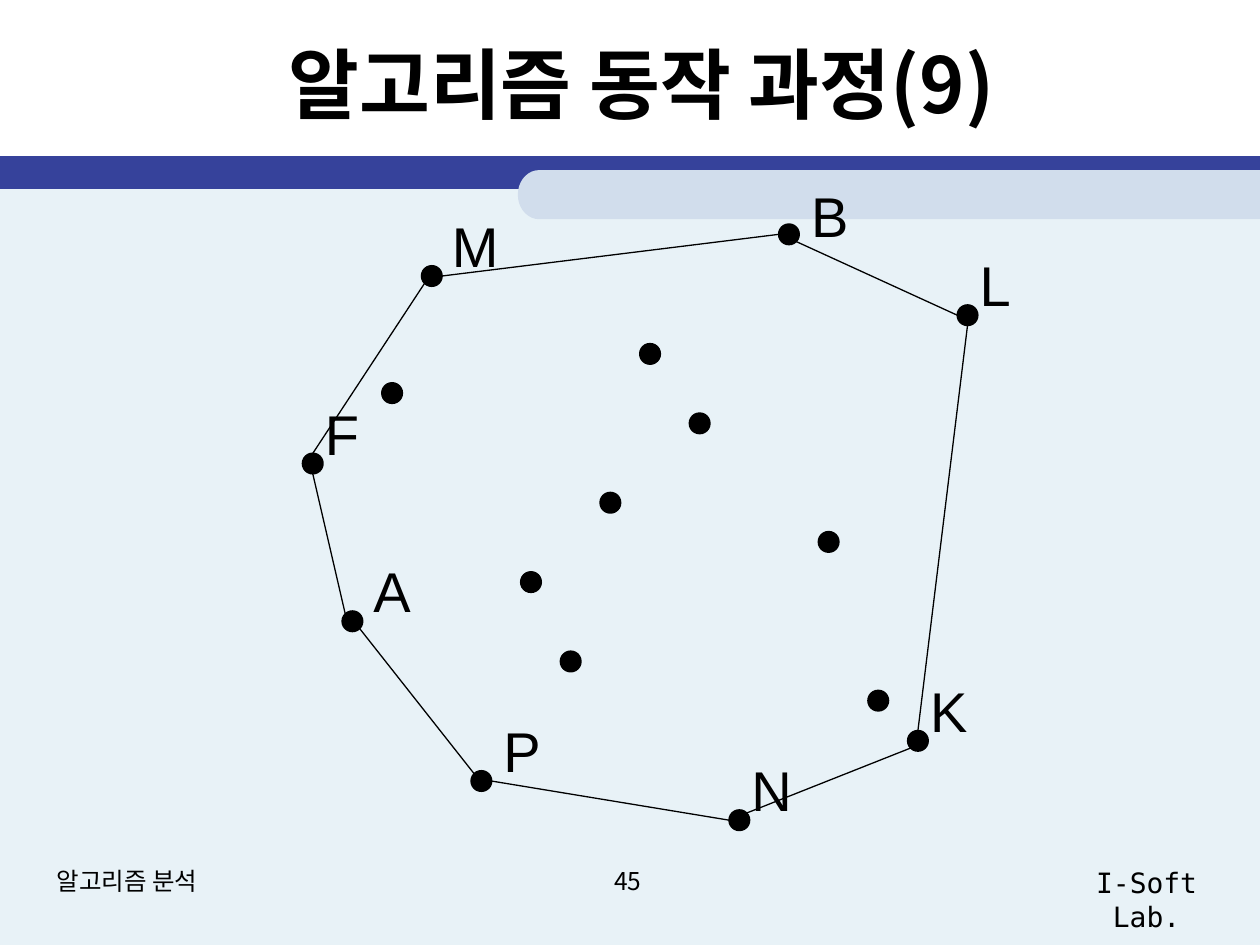
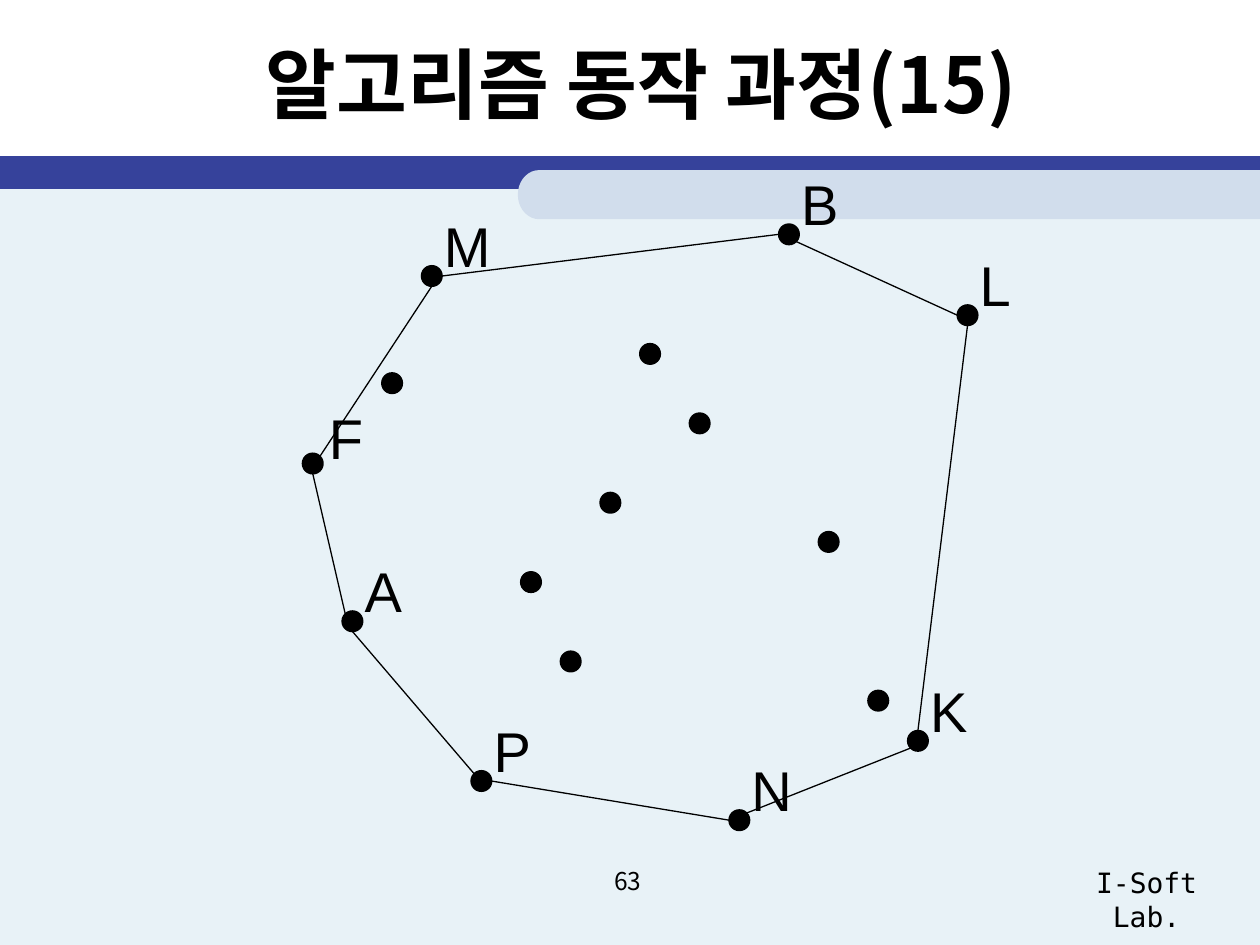
import math
from pptx import Presentation
from pptx.dml.color import RGBColor
from pptx.enum import shapes, text
from pptx.oxml import ns
from pptx.util import Cm, Pt
from lxml import etree

WIDE, HIGH = 25.4, 19.05
INK, PALE, BLUE, MIST = "000000", "E8F2F7", "36429B", "D1DDEC"
SANS, MONO, LATIN = "Noto Sans CJK KR", "DejaVu Sans Mono", "Arial"
MID = text.PP_ALIGN.CENTER

DOT = 0.41
HULL = (6.1, 4.52)
SHIFT = (0.2, -1.22)
NODES = {
    "M": (2.4, 0.84, 1.45), "B": (9.6, 0, 1.24),
    "L": (13.2, 1.63, 1.14), "K": (12.2, 10.21, 1.24),
    "N": (8.6, 11.81, 1.32), "P": (3.4, 11.02, 1.24),
    "A": (0.8, 7.8, 1.24), "F": (0, 4.62, 1.19),
}
INNER = [(6, 5.41), (11.4, 9.4), (5.2, 8.61), (6.8, 2.41),
         (4.4, 7.01), (10.4, 6.2), (7.8, 3.81)]
SITES = {
    "top": (0.5, 0), "left": (0, 0.5), "right": (1, 0.5), "base": (0.5, 1),
    "nw": (0.15, 0.15), "ne": (0.85, 0.15),
    "sw": (0.15, 0.85), "se": (0.85, 0.85),
}
EDGES = [
    ("N", "ne", "K", "sw"), ("K", "top", "L", "base"),
    ("B", "se", "L", "left"), ("M", "right", "B", "left"),
    ("F", "base", "A", "nw"), ("P", "right", "N", "left"),
]
STEPS = [
    dict(title="알고리즘 동작 과정(9)", page="45", note="알고리즘 분석",
         free=(1.6, 3.2),
         edges=[("F", "top", "M", "sw"), ("A", "se", "P", "nw")],
         nudge={"B": (0.2, 0.23), "M": (0.16, 0),
                "A": (0.18, 0), "P": (0.2, 0)}),
    dict(title="알고리즘 동작 과정(15)", page="63", note=None,
         free=(1.6, 3),
         edges=[("M", "base", "F", "ne"), ("P", "nw", "A", "base")],
         nudge={"F": (0.08, 0.08)}),
]


def tint(code):
    return RGBColor.from_string(code)


def paint(shape, fill, line=None):
    shape.shadow.inherit = False
    shape.fill.solid()
    shape.fill.fore_color.rgb = tint(fill)
    if line:
        shape.line.color.rgb = tint(line)
        shape.line.width = Pt(1)
    else:
        shape.line.fill.background()


def block(slide, kind, box, fill, line=None):
    shape = slide.shapes.add_shape(kind, *map(Cm, box))
    paint(shape, fill, line)


def write(slide, box, words, size, face, align=None, bold=False, wrap=True):
    frame = slide.shapes.add_textbox(*map(Cm, box)).text_frame
    frame.word_wrap = wrap
    para = frame.paragraphs[0]
    para.text = words
    para.alignment = align
    font = para.font
    font.size, font.bold, font.name = Pt(size), bold, face
    font.color.rgb = tint(INK)
    props = para._p.pPr.find(ns.qn("a:defRPr"))
    etree.SubElement(props, ns.qn("a:ea"), typeface=face)
    return frame


def tab(slide, box, fill):
    left, top, width, height = box
    bend, half = 0.43, height / 2
    turns = [math.radians(90 + 10 * n) for n in range(19)]
    curve = [(left + bend + bend * math.cos(a), top + half - half * math.sin(a))
             for a in turns]
    ends = [(left + width, top + height), (left + width, top)]
    pen = slide.shapes.build_freeform(Cm(left + width), Cm(top))
    pen.add_line_segments([(Cm(x), Cm(y)) for x, y in curve + ends], close=True)
    paint(pen.convert_to_shape(), fill)


def base(slide):
    rect = shapes.MSO_SHAPE.RECTANGLE
    block(slide, rect, (0, 3.56, WIDE, HIGH - 3.56), PALE)
    block(slide, rect, (0, 3.15, WIDE, 0.66), BLUE)
    tab(slide, (10.44, 3.43, WIDE - 10.44, 0.99), MIST)


def head(slide, box, words):
    frame = write(slide, box, words, 44, SANS, MID, bold=True)
    frame.vertical_anchor = text.MSO_ANCHOR.MIDDLE


def foot(slide, box, page, note):
    left, top, width, height = box
    if note:
        write(slide, (left, top, 8.05, height), note, 14, SANS)
    write(slide, (left + 8.81, top, 5.92, height), page, 14, SANS, MID)
    lab = left + 20.22
    write(slide, (lab, top, left + width - lab, height),
          "I-Soft Lab.", 16, MONO, MID)


def link(slide, start, end):
    line = slide.shapes.add_connector(
        shapes.MSO_CONNECTOR.STRAIGHT, *map(Cm, start + end))
    line.line.color.rgb = tint(INK)
    line.line.width = Pt(0.75)
    etree.SubElement(line._element.spPr, ns.qn("a:effectLst"))


def hull(slide, origin, step):
    left, top = origin

    def site(name, side):
        x, y, _ = NODES[name]
        across, down = SITES[side]
        return left + x + across * DOT, top + y + down * DOT

    spots = [node[:2] for node in NODES.values()] + INNER + [step["free"]]
    for x, y in spots:
        block(slide, shapes.MSO_SHAPE.OVAL,
              (left + x, top + y, DOT, DOT), INK, INK)
    for start, out, end, into in EDGES + step["edges"]:
        link(slide, site(start, out), site(end, into))
    for name, (x, y, width) in NODES.items():
        across, down = step["nudge"].get(name, (0, 0))
        box = (left + x + SHIFT[0] + across,
               top + y + SHIFT[1] + down, width, 1.63)
        frame = write(slide, box, name, 32, LATIN, wrap=False)
        frame.auto_size = text.MSO_AUTO_SIZE.SHAPE_TO_FIT_TEXT


def main():
    deck = Presentation()
    deck.slide_width, deck.slide_height = Cm(WIDE), Cm(HIGH)
    for step in STEPS:
        slide = deck.slides.add_slide(deck.slide_layouts[6])
        base(slide)
        foot(slide, (0.89, 17.33, 24.23, 1.32), step["page"], step["note"])
        hull(slide, HULL, step)
        head(slide, (1.5, 0.2, 22.86, 2.92), step["title"])
    deck.save("out.pptx")


if __name__ == "__main__":
    main()
